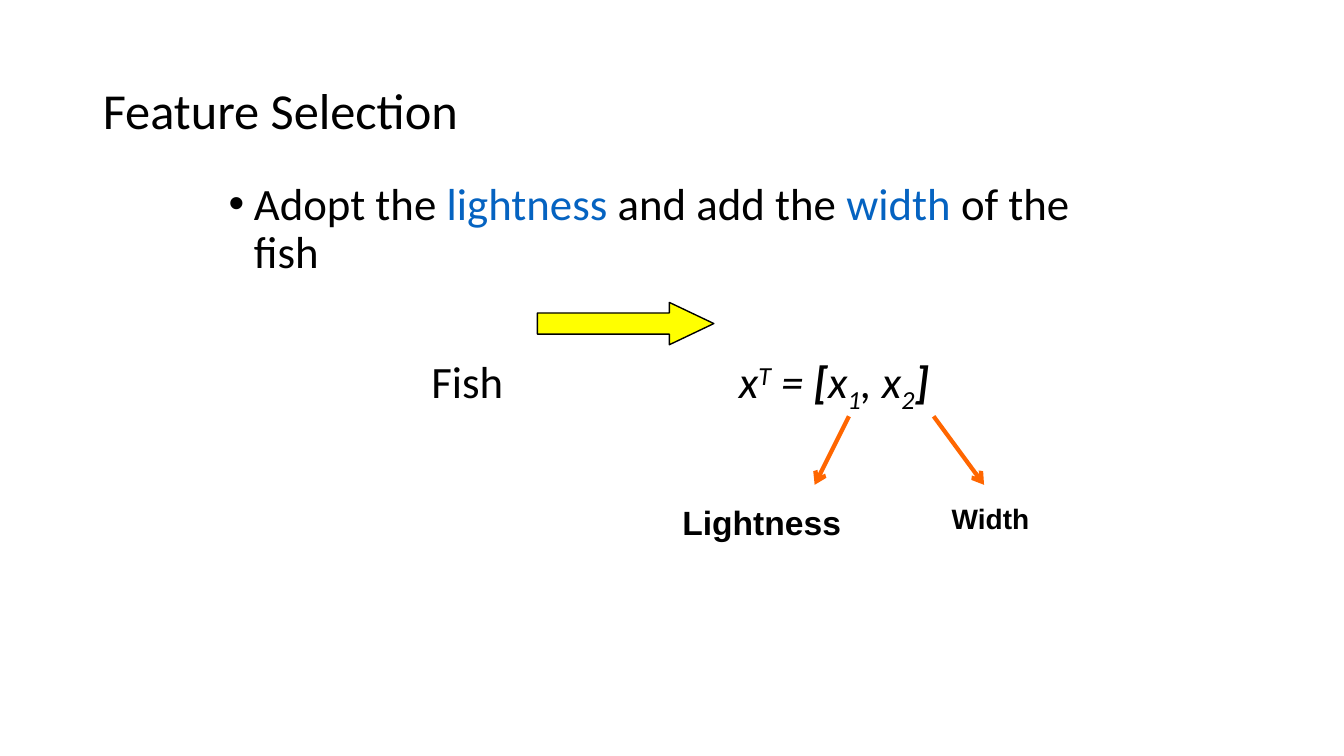
from pptx import Presentation
from pptx.dml.color import RGBColor
from pptx.enum.shapes import MSO_CONNECTOR, MSO_SHAPE
from pptx.enum.text import MSO_ANCHOR, PP_ALIGN
from pptx.oxml.ns import qn
from pptx.util import Inches, Pt
from lxml import etree

BLACK = RGBColor(0, 0, 0)
BLUE = RGBColor(0x05, 0x63, 0xC1)
YELLOW = RGBColor(0xFF, 0xFF, 0)
ORANGE = RGBColor(0xFF, 0x66, 0)
STRAIGHT = MSO_CONNECTOR.STRAIGHT
RIGHT_ARROW = MSO_SHAPE.RIGHT_ARROW
MIDDLE = MSO_ANCHOR.MIDDLE
LEFT = PP_ALIGN.LEFT


def add_run(p, text, size, color=BLACK, font="Calibri", bold=False, italic=False):
    r = p.add_run()
    r.text = text
    r.font.name = font
    r.font.size = Pt(size)
    r.font.color.rgb = color
    r.font.bold = bold
    r.font.italic = italic
    return r


def add_text_box(x, y, w, h, wrap):
    tf = s.shapes.add_textbox(Inches(x), Inches(y), Inches(w), Inches(h)).text_frame
    tf.word_wrap = wrap
    return tf.paragraphs[0]


prs = Presentation()
prs.slide_width = Inches(13.33)
prs.slide_height = Inches(7.5)
s = prs.slides.add_slide(prs.slide_layouts[5])

title = s.shapes.title
title.left, title.top = Inches(0.92), Inches(0.4)
title.width, title.height = Inches(11.5), Inches(1.45)
title.text_frame.vertical_anchor = MIDDLE
p = title.text_frame.paragraphs[0]
p.alignment = LEFT
p.line_spacing = 0.9
add_run(p, "Feature Selection", 36)

p = add_text_box(2.17, 1.75, 9.17, 1.2, True)
p.line_spacing = 0.9
pPr = p._p.get_or_add_pPr()
pPr.set("marL", str(Inches(0.25)))
pPr.set("indent", str(-Inches(0.25)))
etree.SubElement(pPr, qn("a:buFont")).set("typeface", "Arial")
etree.SubElement(pPr, qn("a:buChar")).set("char", "•")
for text, color in [("Adopt the ", BLACK), ("lightness", BLUE), (" and add the ", BLACK),
                    ("width", BLUE), (" of the fish", BLACK)]:
    add_run(p, text, 32, color)

p = add_text_box(4.18, 3.52, 1, 0.6, False)
p.line_spacing = 0.9
add_run(p, "Fish", 32)

p = add_text_box(7.23, 3.47, 2.2, 0.6, False)
p.line_spacing = 0.9
for text, bold, baseline in [("x", False, 0), ("T", False, 30), (" = ", False, 0),
                             ("[", True, 0), ("x", False, 0), ("1", False, -25),
                             (", x", False, 0), ("2", False, -25), ("]", True, 0)]:
    r = add_run(p, text, 32, bold=bold, italic=True)
    if baseline:
        r.font._element.set("baseline", str(baseline * 1000))

arrow = s.shapes.add_shape(RIGHT_ARROW, Inches(5.33), Inches(3), Inches(1.75), Inches(0.42))
arrow.adjustments[0] = 0.5
arrow.adjustments[1] = 1.05
arrow.shadow.inherit = False
arrow.fill.solid()
arrow.fill.fore_color.rgb = YELLOW
arrow.line.color.rgb = BLACK
arrow.line.width = Pt(1)

for text, x, w, h, size, x1, x2 in [("Lightness", 6.67, 1.9, 0.5, 24, 8.42, 8.08),
                                    ("Width", 9.34, 1, 0.43, 20, 9.26, 9.76)]:
    p = add_text_box(x, 4.93, w, h, True)
    add_run(p, text, size, font="Arial", bold=True)
    line = s.shapes.add_connector(STRAIGHT, Inches(x1), Inches(4.13), Inches(x2), Inches(4.81))
    line.line.color.rgb = ORANGE
    line.line.width = Pt(3)
    etree.SubElement(line.line._get_or_add_ln(), qn("a:tailEnd")).set("type", "arrow")
    etree.SubElement(line._element.spPr, qn("a:effectLst"))

prs.save("out.pptx")
